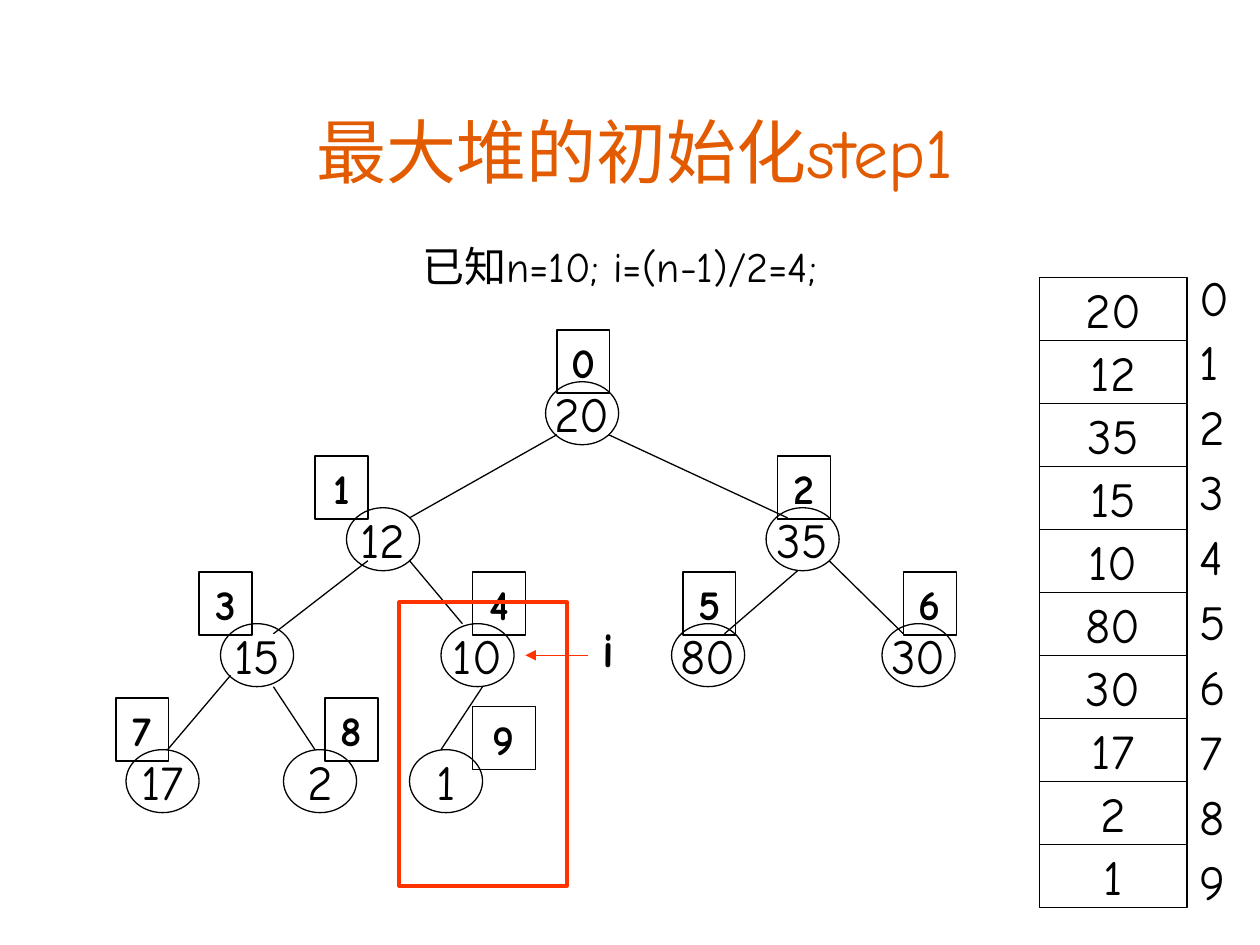
from pptx import Presentation
from pptx.dml.color import RGBColor
from pptx.enum.shapes import MSO_CONNECTOR, MSO_SHAPE
from pptx.enum.text import MSO_ANCHOR, PP_ALIGN
from pptx.oxml.ns import qn
from pptx.util import Inches, Pt
from lxml.etree import SubElement

TITLE = "最大堆的初始化step1"
GIVEN = "已知n=10; i=(n-1)/2=4;"
HEAP = [20, 12, 35, 15, 10, 80, 30, 17, 2, 1]

# Tree layout, by heap index: node left edge and index tag left edge
NODE_LEFTS = [4.33, 2.75, 6.08, 1.75, 3.5, 5.33, 7, 1, 2.25, 3.25]
TAG_LEFTS = [4.42, 2.5, 6.17, 1.58, 3.75, 5.42, 7.17, 0.92, 2.58, 3.75]
LEVEL_TOPS = [3.03, 4.03, 4.95, 5.95]
NODE_WIDTH, TAG_WIDTH, ROW = 0.58, 0.42, 0.5
TAG_RISE = 0.41
LAST_TAG = {"width": 0.5, "rise": 0.34}

# Parent end and child end of each branch
BRANCHES = [
    ((4.42, 3.45), (3.25, 4.11)), ((4.83, 3.45), (6.25, 4.11)),
    ((2.92, 4.45), (2.17, 5.03)), ((3.25, 4.45), (3.67, 4.95)),
    ((6.33, 4.53), (5.75, 5.03)), ((6.58, 4.45), (7.17, 5.03)),
    ((1.83, 5.36), (1.33, 5.95)), ((2.17, 5.45), (2.5, 5.95)),
    ((3.83, 5.45), (3.5, 5.95)),
]
ARRAY_LEFT, ARRAY_TOP, CELL_WIDTH = 8.25, 2.2, 1.17

COLORS = {"title": "E25B00", "ink": "000000", "focus": "FF3300"}
FONT = "Comic Neue"


def color(name):
    return RGBColor.from_string(COLORS[name])


def write(shape, lines, size, bold=False, ink="ink", anchor=MSO_ANCHOR.TOP,
          wrap=True, gap=0):
    frame = shape.text_frame
    frame.word_wrap = wrap
    frame.vertical_anchor = anchor
    frame.text = "\n".join(lines)
    for number, paragraph in enumerate(frame.paragraphs):
        paragraph.alignment = PP_ALIGN.CENTER
        if number:
            paragraph.space_before = Pt(gap)
        paragraph.font.name = FONT
        paragraph.font.size = Pt(size)
        paragraph.font.bold = bold
        paragraph.font.color.rgb = color(ink)


def add_label(shapes, box, lines, size, **style):
    label = shapes.add_textbox(*map(Inches, box))
    write(label, lines, size, **style)


def add_outline(shapes, preset, box, ink="ink", weight=0.75):
    outline = shapes.add_shape(preset, *map(Inches, box))
    outline.shadow.inherit = False
    outline.fill.background()
    outline.line.color.rgb = color(ink)
    outline.line.width = Pt(weight)
    return outline


def add_value(shapes, preset, box, value):
    write(add_outline(shapes, preset, box), [str(value)], 28,
          anchor=MSO_ANCHOR.MIDDLE, wrap=False)


def add_line(shapes, start, end, ink="ink"):
    line = shapes.add_connector(MSO_CONNECTOR.STRAIGHT,
                                *map(Inches, start + end))
    line.line.color.rgb = color(ink)
    line.line.width = Pt(0.75)
    SubElement(line._element.spPr, qn("a:effectLst"))
    return line


def level_top(index):
    return LEVEL_TOPS[(index + 1).bit_length() - 1]


presentation = Presentation()
presentation.slide_width = Inches(10)
presentation.slide_height = Inches(7.5)
slide = presentation.slides.add_slide(presentation.slide_layouts[6])
shapes = slide.shapes

# Title and given values
add_label(shapes, (0.75, 0.75, 8.58, 0.83), [TITLE], 40, ink="title",
          anchor=MSO_ANCHOR.BOTTOM)
add_label(shapes, (0.5, 1.86, 8.83, 0.5), [GIVEN], 24)

# Heap as a tree
tree = shapes.add_group_shape().shapes
for index, (value, left) in enumerate(zip(HEAP, NODE_LEFTS)):
    add_value(tree, MSO_SHAPE.FLOWCHART_CONNECTOR,
              (left, level_top(index), NODE_WIDTH, ROW), value)
for parent_end, child_end in BRANCHES:
    add_line(tree, parent_end, child_end)

# Index tags over the nodes
for index, left in enumerate(TAG_LEFTS):
    is_last = index == len(HEAP) - 1
    width = LAST_TAG["width"] if is_last else TAG_WIDTH
    rise = LAST_TAG["rise"] if is_last else TAG_RISE
    tag = add_outline(shapes, MSO_SHAPE.RECTANGLE,
                      (left, level_top(index) - rise, width, ROW))
    write(tag, [str(index)], 24, bold=True)

# Pointer i and the subtree in focus
pointer = shapes.add_group_shape().shapes
add_label(pointer, (4.58, 4.86, 0.5, 0.57), ["i"], 28, bold=True)
arrow = add_line(pointer, (4.67, 5.2), (4.17, 5.2), "focus")
SubElement(arrow.line._get_or_add_ln(), qn("a:tailEnd"), type="triangle")
add_outline(shapes, MSO_SHAPE.RECTANGLE, (3.17, 4.78, 1.33, 2.25), "focus", 2.25)

# Heap as an array with its indices
for index, value in enumerate(HEAP):
    add_value(shapes, MSO_SHAPE.FLOWCHART_PROCESS,
              (ARRAY_LEFT, ARRAY_TOP + index * ROW, CELL_WIDTH, ROW), value)
add_label(shapes, (ARRAY_LEFT + CELL_WIDTH, 2.07, 0.35, 5.21),
          [str(index) for index in range(len(HEAP))], 28, gap=3.5)

presentation.save("out.pptx")
